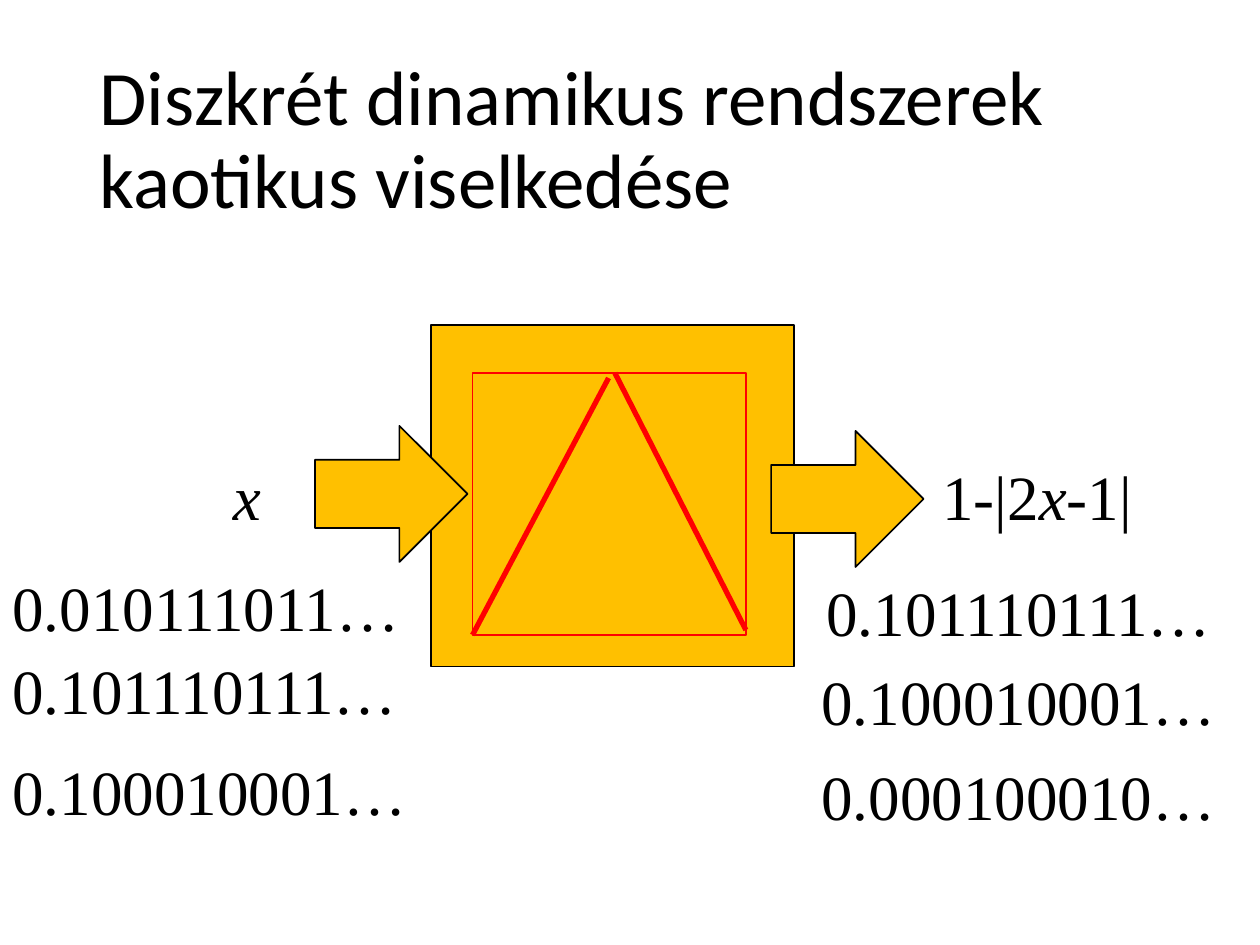
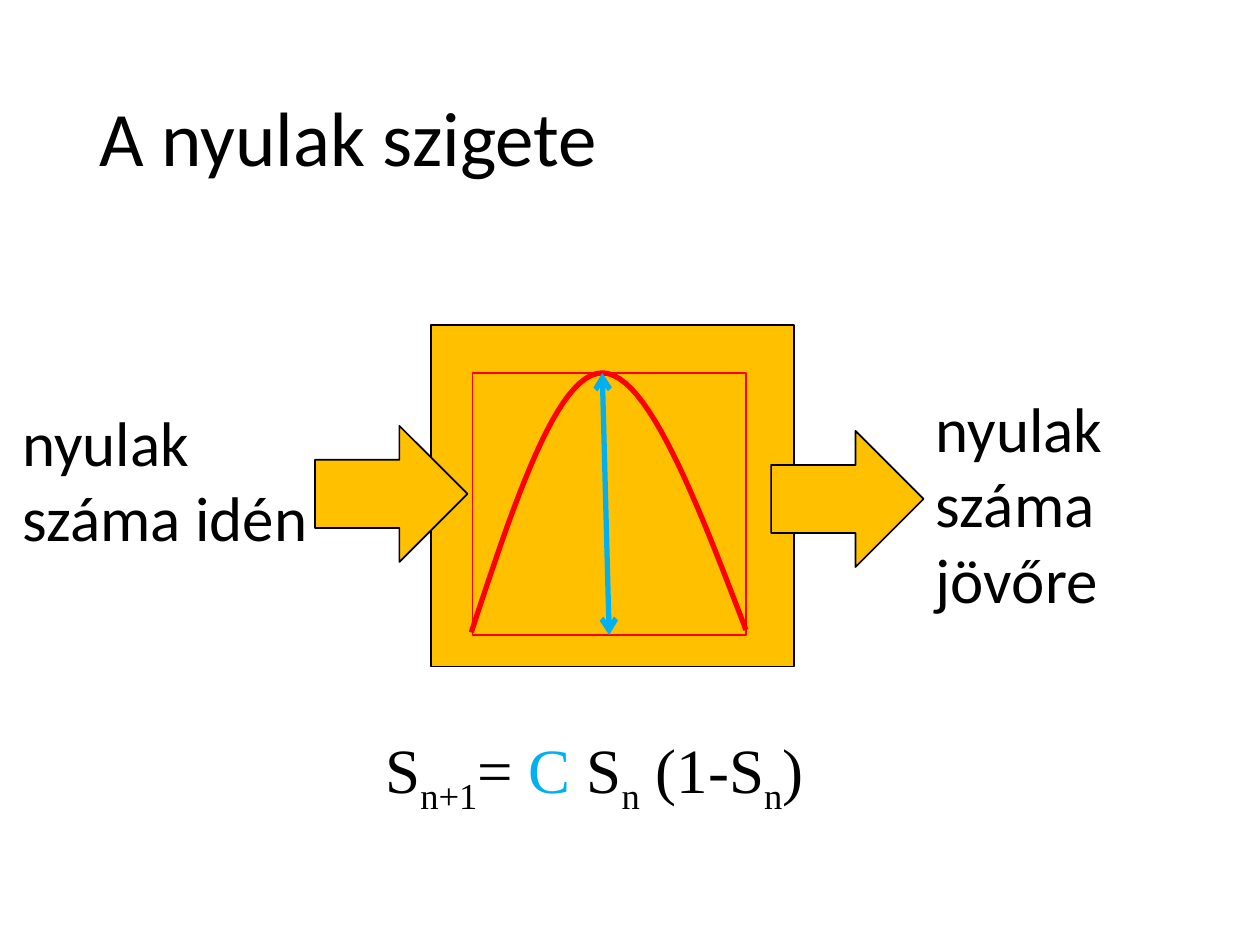
from lxml.etree import SubElement
from pptx import Presentation
from pptx.dml.color import RGBColor
from pptx.enum.shapes import MSO_CONNECTOR, MSO_SHAPE
from pptx.enum.text import MSO_ANCHOR, MSO_AUTO_SIZE, PP_ALIGN
from pptx.oxml.ns import qn
from pptx.util import Inches, Pt

BLACK, GOLD, RED, BLUE = "000000", "FFC000", "FF0000", "00B0F0"
SERIF, SANS = "Times New Roman", "Calibri"


def tint(part, shade):
    """Give a fill or a font a solid colour."""
    if hasattr(part, "solid"):
        part.solid()
        part.fore_color.rgb = RGBColor.from_string(shade)
    else:
        part.color.rgb = RGBColor.from_string(shade)


def write(frame, runs, name, size):
    """Fill a text frame with runs, each a text and its own format."""
    frame.word_wrap = True
    for text, style in runs:
        run = frame.paragraphs[0].add_run()
        run.text = text
        style = {"name": name, "size": Pt(size), "shade": BLACK, **style}
        tint(run.font, style.pop("shade"))
        if style.pop("sub", False):
            run._r.get_or_add_rPr().set("baseline", "-25000")
        for key, value in style.items():
            setattr(run.font, key, value)


deck = Presentation()
deck.slide_width, deck.slide_height = Inches(10), Inches(7.5)

# Shared parts: title, machine, arrows in and out, graph frame
titles = ["Diszkrét dinamikus rendszerek kaotikus viselkedése", "A nyulak szigete"]
parts = [
    (MSO_SHAPE.RECTANGLE, 3.42, 2.58, 2.88, 2.71, GOLD, BLACK),
    (MSO_SHAPE.RIGHT_ARROW, 2.5, 3.38, 1.21, 1.08, GOLD, BLACK),
    (MSO_SHAPE.RIGHT_ARROW, 6.12, 3.42, 1.21, 1.08, GOLD, BLACK),
    (MSO_SHAPE.RECTANGLE, 3.75, 2.96, 2.17, 2.08, None, RED),
]
for text in titles:
    slide = deck.slides.add_slide(deck.slide_layouts[5])
    title = slide.shapes.title
    place = {"left": 0.69, "top": 0.4, "width": 8.62, "height": 1.45}
    for key, value in place.items():
        setattr(title, key, Inches(value))
    title.text_frame.auto_size = MSO_AUTO_SIZE.NONE
    title.text_frame.vertical_anchor = MSO_ANCHOR.MIDDLE
    write(title.text_frame, [(text, {})], SANS, 44)
    line = title.text_frame.paragraphs[0]
    line.alignment, line.line_spacing = PP_ALIGN.LEFT, 0.9

    for kind, *box, fill, edge in parts:
        shape = slide.shapes.add_shape(kind, *map(Inches, box))
        shape.shadow.inherit = False
        if fill:
            tint(shape.fill, fill)
        else:
            shape.fill.background()
        tint(shape.line.fill, edge)
        shape.line.width = Pt(1)

tent, island = deck.slides
graph = island.shapes[-1]

# Labels: slide, left, top, width, height, font, runs
slant = {"italic": True}
sub = {"sub": True}
labels = [
    (tent, 1.75, 3.58, 0.5, 0.71, SERIF, [("x", slant)]),
    (tent, 7.38, 3.58, 2, 0.71, SERIF, [("1-|2", {}), ("x", slant), ("-1|", {})]),
    (island, 0.08, 3.15, 2.67, 1.31, SANS, [("nyulak száma idén", {})]),
    (island, 7.33, 3.04, 2.67, 1.92, SANS, [("nyulak száma jövőre", {})]),
    (island, 2.96, 5.75, 4.19, 0.7, SERIF, [
        ("S", {}), ("n+1", sub), ("=", {}), (" C ", {"shade": BLUE}),
        ("S", {}), ("n", sub), (" (1-S", {}), ("n", sub), (")", {})]),
]

# Binary orbit: each output is the next input
orbit = ["0.010111011…", "0.101110111…", "0.100010001…", "0.000100010…"]
spots = [(4.46, 6.46, 4.5), (5.12, 6.42, 5.21), (5.92, 6.42, 5.96)]
for start, after, (top, left, drop) in zip(orbit, orbit[1:], spots):
    labels.append((tent, 0, top, 3.95, 0.71, SERIF, [(start, {})]))
    labels.append((tent, left, drop, 3.58, 0.71, SERIF, [(after, {})]))

for slide, *box, font, runs in labels:
    frame = slide.shapes.add_textbox(*map(Inches, box)).text_frame
    frame.auto_size = MSO_AUTO_SIZE.SHAPE_TO_FIT_TEXT
    write(frame, runs, font, 36)

# Tent map, and the height of the curve
strokes = []

# Parabola: two cubic arcs sampled in equal steps
arcs = [
    [(3.74, 5.02), (4.08, 3.99), (4.42, 2.96), (4.78, 2.96)],
    [(4.78, 2.96), (5.14, 2.96), (5.53, 3.98), (5.92, 5)],
]
steps = 24
dots = []
for arc in arcs:
    for step in range(steps + 1):
        t = step / steps
        parts = [(1 - t) ** 3, 3 * t * (1 - t) ** 2, 3 * t ** 2 * (1 - t), t ** 3]
        dots.append([Inches(sum(p * dot[axis] for p, dot in zip(parts, arc)))
                     for axis in (0, 1)])
pen = island.shapes.build_freeform(*dots[0])
pen.add_line_segments(dots[1:], close=False)
curve = pen.convert_to_shape()
curve.fill.background()
strokes.append((curve, RED))

lines = [
    (tent, 3.75, 5.04, 4.83, 3, RED),
    (tent, 5.92, 5, 4.88, 2.96, RED),
    (island, 4.78, 2.96, 4.83, 5.04, BLUE),
]
for slide, *ends, shade in lines:
    link = slide.shapes.add_connector(MSO_CONNECTOR.STRAIGHT, *map(Inches, ends))
    strokes.append((link, shade))
link.end_connect(graph, 2)

for stroke, shade in strokes:
    tint(stroke.line.fill, shade)
    stroke.line.width = Pt(3)
    SubElement(stroke._element.spPr, qn("a:effectLst"))

# Arrowheads at both ends of the height
for tag in ("a:headEnd", "a:tailEnd"):
    SubElement(link._element.spPr.find(qn("a:ln")), qn(tag), type="arrow")

deck.save("out.pptx")
